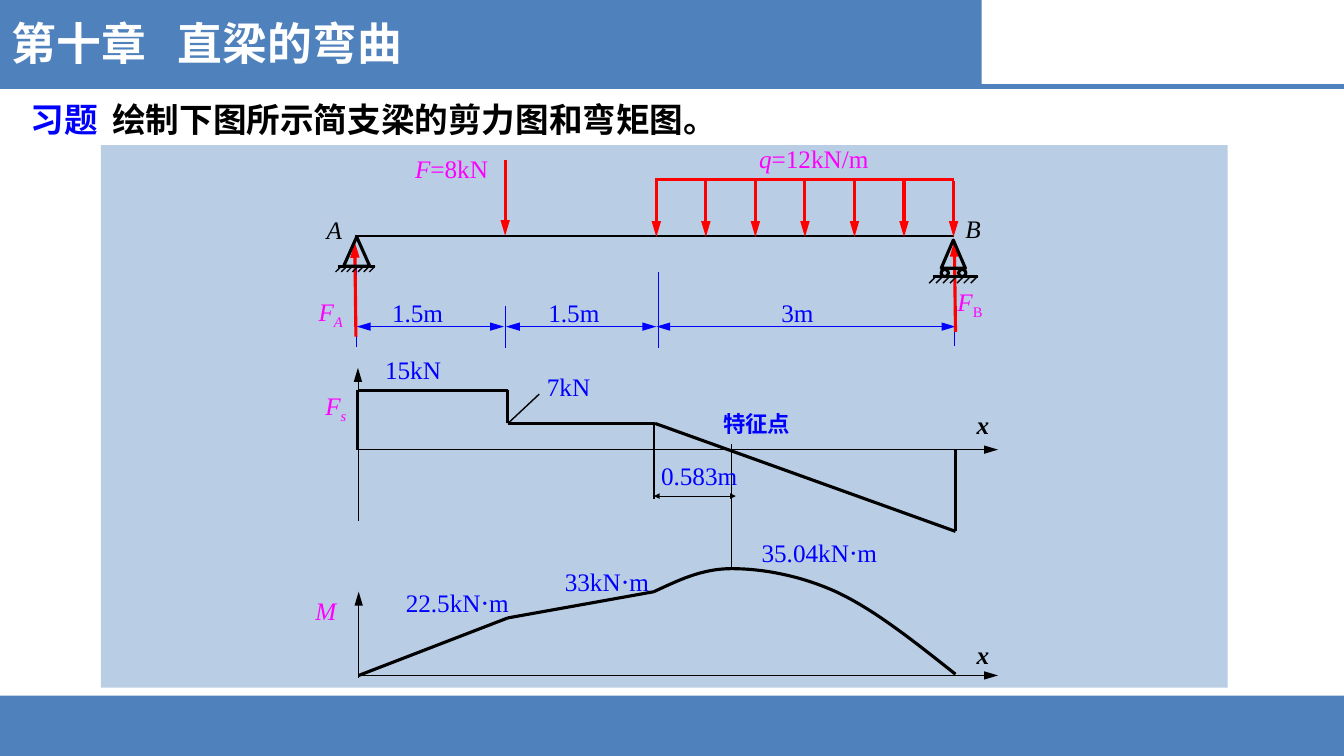
from lxml import etree
from pptx import Presentation
from pptx.dml.color import RGBColor
from pptx.enum import shapes as kinds, text
from pptx.oxml import ns
from pptx.util import Cm, Pt

COLORS = {"bar": "4F81BD", "panel": "B9CDE5", "white": "FFFFFF", "black": "000000",
          "blue": "0000FF", "red": "FF0000", "magenta": "FF00FF"}
LATIN, CJK = "Times New Roman", "Noto Sans CJK SC"
ITALIC = {"italic": True}
BOLD_ITALIC = {"bold": True, "italic": True}
LEFT, CENTER = text.PP_ALIGN.LEFT, text.PP_ALIGN.CENTER
TOP, MIDDLE = text.MSO_ANCHOR.TOP, text.MSO_ANCHOR.MIDDLE
HEAVY, MEDIUM, FINE = 2.25, 1, 0.5


def rgb(color):
    return RGBColor.from_string(COLORS[color])


def place(shape, *box):
    shape.left, shape.top, shape.width, shape.height = map(Cm, box)


def preset(shapes, kind, box, fill=None, width=0):
    shape = shapes.add_shape(kind, *map(Cm, box))
    shape.shadow.inherit = False
    if fill:
        shape.fill.solid()
        shape.fill.fore_color.rgb = rgb(fill)
    else:
        shape.fill.background()
    if width:
        shape.line.color.rgb = rgb("black")
        shape.line.width = Pt(width)
    else:
        shape.line.fill.background()


def line(shapes, start, end, color="black", width=HEAVY, heads=(), size="lg"):
    """Straight line; heads lists the ends (headEnd, tailEnd) that carry an arrowhead."""
    connector = shapes.add_connector(kinds.MSO_CONNECTOR.STRAIGHT, *map(Cm, (*start, *end)))
    connector.line.color.rgb = rgb(color)
    connector.line.width = Pt(width)
    for head in heads:
        etree.SubElement(connector.line._get_or_add_ln(), ns.qn(f"a:{head}"),
                         type="triangle", w="sm" if size == "sm" else "med", len=size)
    etree.SubElement(connector._element.spPr, ns.qn("a:effectLst"))


def arrow(shapes, start, end, color="red", width=HEAVY):
    line(shapes, start, end, color, width, ("tailEnd",))


def dimension(shapes, x1, x2, y, color="blue", size="lg"):
    line(shapes, (x1, y), (x2, y), color, FINE, ("headEnd", "tailEnd"), size)


def polyline(shapes, points):
    for start, end in zip(points, points[1:]):
        line(shapes, start, end)


def write(frame, runs, size=18, align=LEFT, anchor=TOP, inset=(0, 0), wrap=True, tab=None):
    """Fill a frame with one paragraph of (text, colour, font format[, baseline]) runs."""
    layout = {"auto_size": text.MSO_AUTO_SIZE.NONE, "word_wrap": wrap, "vertical_anchor": anchor,
              "margin_left": Cm(inset[0]), "margin_right": Cm(inset[0]),
              "margin_top": Cm(inset[1]), "margin_bottom": Cm(inset[1])}
    for key, value in layout.items():
        setattr(frame, key, value)
    paragraph = frame.paragraphs[0]
    if tab:
        tabs = etree.SubElement(paragraph._p.get_or_add_pPr(), ns.qn("a:tabLst"))
        etree.SubElement(tabs, ns.qn("a:tab"), pos=str(Cm(tab)), algn="l")
    paragraph.alignment = align
    for words, color, extra, *baseline in runs:
        run = paragraph.add_run()
        run.text = words
        for key, value in {"name": LATIN, "size": Pt(size), **extra}.items():
            setattr(run.font, key, value)
        run.font.color.rgb = rgb(color)
        properties = run.font._element
        etree.SubElement(properties, ns.qn("a:ea"), typeface=CJK)
        if baseline:
            properties.set("baseline", str(baseline[0]))


def label(shapes, box, runs, **layout):
    write(shapes.add_textbox(*map(Cm, box)).text_frame, runs, **layout)


def value_label(shapes, left, top, width, words):
    label(shapes, (left, top, width, 1.02), [(words, "blue", {})],
          align=CENTER, inset=(0.25, 0.13))


def ground(shapes, x1, x2, y):
    """Ground line with seven hatch strokes under it."""
    line(shapes, (x1, y), (x2, y))
    first = x1 + 0.09
    step = (x2 - first) / 6
    for i in range(7):
        x = first + i * step
        line(shapes, (x, y), (x - step, y + step), width=MEDIUM)


def axes(shapes, x, y, bottom, top, name_at, name):
    arrow(shapes, (x, y), (25.15, y), "black", FINE)
    arrow(shapes, (x, bottom), (x, top), "black", FINE)
    label(shapes, (24.61, y - 0.9 if name == "M" else y - 1.02, 0.99, 0.84),
          [("x", "black", BOLD_ITALIC)])
    subscript = [("s", "magenta", ITALIC, -25000)] if name == "F" else []
    label(shapes, (*name_at, 0.99, 0.84), [(name, "magenta", ITALIC), *subscript])


def curve(shapes, start, segments, steps=16):
    """Smooth outline through cubic segments (two controls and an end point each)."""
    points, begin = [], start
    for controls in segments:
        a, b, c, d = begin, *controls
        for i in range(1, steps + 1):
            t = i / steps
            weights = ((1 - t) ** 3, 3 * t * (1 - t) ** 2, 3 * t * t * (1 - t), t ** 3)
            points.append(tuple(Cm(sum(w * p[k] for w, p in zip(weights, (a, b, c, d))))
                                for k in (0, 1)))
        begin = d
    builder = shapes.build_freeform(*map(Cm, start))
    builder.add_line_segments(points, close=False)
    outline = builder.convert_to_shape()
    outline.shadow.inherit = False
    outline.fill.background()
    outline.line.color.rgb = rgb("black")
    outline.line.width = Pt(HEAVY)


def page(slide):
    shapes = slide.shapes
    rectangle = kinds.MSO_SHAPE.RECTANGLE
    preset(shapes, rectangle, (0, 17.53, 33.87, 1.52), "bar")
    preset(shapes, rectangle, (0, 0, 24.74, 2.18), "bar")
    line(shapes, (0, 2.18), (33.87, 2.18), "bar", 3)
    title = shapes.title
    place(title, 0.05, 0.25, 10.64, 1.63)
    write(title.text_frame, [("第十章\t直梁的弯曲", "white", {"name": CJK, "bold": True})],
          size=32, anchor=MIDDLE, inset=(0.25, 0.13), wrap=False, tab=4.18)
    shapes._spTree.append(title._element)
    label(shapes, (0.53, 2.29, 27.41, 1.4),
          [("习题\t", "blue", {"bold": True}),
           ("绘制下图所示简支梁的剪力图和弯矩图。", "black", {"bold": True})],
          size=24, anchor=MIDDLE, inset=(0.25, 0.13), tab=2.05)
    preset(shapes, rectangle, (2.54, 3.66, 28.4, 13.67), "panel")


def loaded_beam(shapes):
    line(shapes, (8.94, 5.94), (24.05, 5.94), width=1.5)
    line(shapes, (16.51, 4.52), (24.05, 4.52), "red")
    load = shapes.add_group_shape().shapes
    for i in range(7):
        x = 16.54 + i * 7.49 / 6
        arrow(load, (x, 4.55), (x, 5.97))
    arrow(shapes, (12.73, 4.04), (12.73, 5.94))

    for x, top, bottom in ((8.97, 6.73, 8.74), (12.74, 7.7, 8.76),
                           (16.59, 6.86, 8.76), (24.05, 6.86, 8.71)):
        line(shapes, (x, top), (x, bottom), "blue", FINE)
    for x1, x2 in ((8.99, 12.7), (12.75, 16.54), (16.54, 24.08)):
        dimension(shapes, x1, x2, 8.23)
    for x, length in ((9.88, "1.5m"), (13.82, "1.5m"), (19.69, "3m")):
        label(shapes, (x, 7.48, 2.03, 0.69), [(length, "blue", {})])

    arrow(shapes, (8.97, 8.48), (8.94, 6.1))
    arrow(shapes, (24.08, 8.36), (24.05, 6.07))
    roller = shapes.add_group_shape().shapes
    ground(roller, 23.5, 24.64, 6.96)
    preset(roller, kinds.MSO_SHAPE.ISOSCELES_TRIANGLE, (23.72, 6.05, 0.61, 0.71), width=HEAVY)
    for x in (23.72, 24.16):
        preset(roller, kinds.MSO_SHAPE.OVAL, (x, 6.79, 0.18, 0.18), width=HEAVY)
    pin = shapes.add_group_shape().shapes
    preset(pin, kinds.MSO_SHAPE.ISOSCELES_TRIANGLE, (8.66, 5.97, 0.66, 0.74), width=HEAVY)
    ground(pin, 8.51, 9.45, 6.71)

    for box, symbol, amount in (((10.46, 3.86, 2.26, 0.84), "F", "=8kN"),
                                ((19.13, 3.61, 3.12, 0.79), "q", "=12kN/m")):
        label(shapes, box, [(symbol, "magenta", ITALIC), (amount, "magenta", {})])
    for x, y, end in ((8.23, 5.41, "A"), (24.33, 5.38, "B")):
        label(shapes, (x, y, 0.76, 0.76), [(end, "black", ITALIC)])
    for box, end, style in (((8.03, 7.47, 0.86, 0.99), "A", ITALIC),
                            ((24.13, 7.21, 1.17, 0.94), "B", {})):
        label(shapes, box, [("F", "magenta", ITALIC), (end, "magenta", style, -25000)])


def shear_diagram(shapes):
    axes(shapes.add_group_shape().shapes, 9.02, 11.33, 13.13, 9.27, (8.2, 9.83), "F")
    polyline(shapes, [(9.02, 11.33), (9.02, 9.83), (12.8, 9.83), (12.8, 10.67),
                      (16.51, 10.67), (24.08, 13.39), (24.08, 11.33)])
    line(shapes, (13.59, 9.93), (12.8, 10.67), width=MEDIUM)
    line(shapes, (16.48, 10.72), (16.48, 12.57), width=MEDIUM)
    line(shapes, (18.44, 11.2), (18.44, 14.33), width=MEDIUM)
    dimension(shapes, 16.48, 18.54, 12.5, "black", "sm")
    value_label(shapes, 9.19, 8.81, 2.44, "15kN")
    value_label(shapes, 13.11, 9.22, 2.44, "7kN")
    value_label(shapes, 16.26, 11.48, 2.72, "0.583m")
    label(shapes, (17.98, 10.21, 2.95, 0.94), [("特征点", "blue", {"bold": True})],
          size=16, anchor=MIDDLE, inset=(0.25, 0.13))


def moment_diagram(shapes):
    axes(shapes.add_group_shape().shapes, 9.04, 17.02, 17.09, 14.91, (7.95, 14.99), "M")
    polyline(shapes, [(9.04, 17.02), (12.8, 15.57), (16.48, 14.91)])
    curve(shapes, (16.48, 14.91), [((17.09, 14.63), (17.68, 14.33), (18.44, 14.33)),
                                   ((19.2, 14.33), (20.19, 14.5), (21.13, 14.94)),
                                   ((22.07, 15.39), (23.06, 16.18), (24.08, 16.99))])
    value_label(shapes, 9.86, 14.66, 3.33, "22.5kN⋅m")
    value_label(shapes, 13.72, 14.15, 3.15, "33kN⋅m")
    value_label(shapes, 18.72, 13.41, 3.86, "35.04kN⋅m")


def main():
    deck = Presentation()
    deck.slide_width, deck.slide_height = Cm(33.87), Cm(19.05)
    slide = deck.slides.add_slide(deck.slide_layouts[5])
    page(slide)
    loaded_beam(slide.shapes)
    shear_diagram(slide.shapes)
    moment_diagram(slide.shapes)
    deck.save("out.pptx")


if __name__ == "__main__":
    main()
